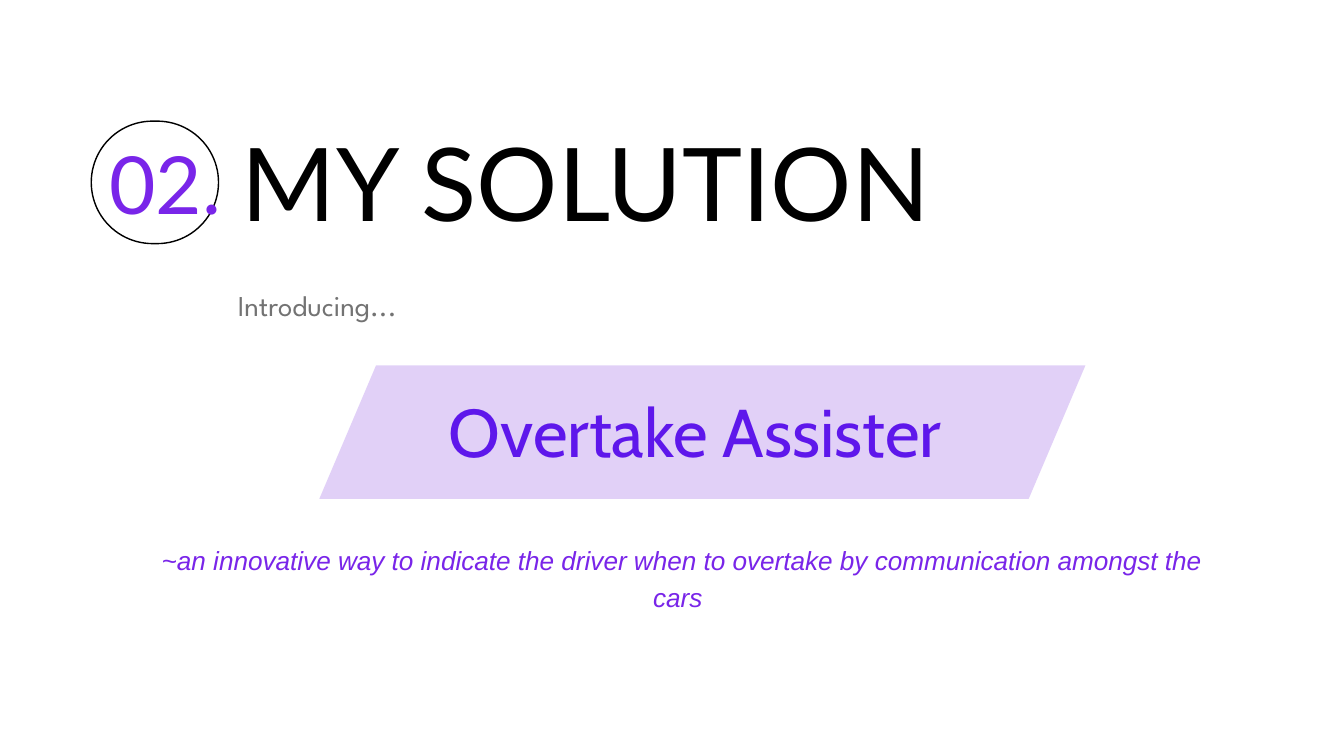
from dataclasses import dataclass

from lxml.etree import SubElement
from pptx import Presentation
from pptx.dml.color import RGBColor
from pptx.enum.shapes import MSO_SHAPE as Preset
from pptx.enum.text import MSO_AUTO_SIZE as AutoSize, PP_ALIGN as Align
from pptx.oxml.ns import qn
from pptx.shapes.autoshape import Shape
from pptx.slide import Slide
from pptx.util import Cm, Pt

BLACK = "000000"
VIOLET = "7925E9"
INDIGO = "5E17EB"
LILAC = "9F6AE7"
GRAY = "737373"


@dataclass(frozen=True)
class Box:
    left: float
    top: float
    width: float
    height: float

    def lengths(self) -> tuple[Cm, Cm, Cm, Cm]:
        return Cm(self.left), Cm(self.top), Cm(self.width), Cm(self.height)


@dataclass(frozen=True)
class Label:
    text: str
    box: Box
    font: str
    size: float
    line_height: float
    color: str
    align: Align = Align.CENTER
    italic: bool = False


LABELS = [
    Label("MY SOLUTION", Box(9.14, 4.55, 34.82, 4.62), "Lato", 108.9, 130.6, BLACK, Align.LEFT),
    Label("02.", Box(4.14, 5.08, 4.78, 3.63), "Lato", 85.8, 102.9, VIOLET, Align.LEFT),
    Label("Overtake Assister ", Box(10.95, 14.22, 31.22, 3.4), "Cabin", 72.3, 101.2, INDIGO),
    Label("Introducing...", Box(6.6, 10.67, 10.8, 1.47), "League Spartan", 30.8, 43.1, GRAY),
    Label(
        "~an innovative way to indicate the driver when to overtake by communication amongst the cars ",
        Box(5.84, 20.4, 39.83, 1.35), "Arial", 28, 39.2, VIOLET, italic=True,
    ),
]


def color(value: str) -> RGBColor:
    return RGBColor.from_string(value)


def add_preset(slide: Slide, preset: Preset, box: Box, adjustment: float) -> Shape:
    shape = slide.shapes.add_shape(preset, *box.lengths())
    shape.adjustments[0] = adjustment
    shape.shadow.inherit = False
    return shape


def add_number_ring(slide: Slide, box: Box) -> None:
    ring = add_preset(slide, Preset.ROUNDED_RECTANGLE, box, 0.5)
    ring.fill.background()
    ring.line.color.rgb = color(BLACK)
    ring.line.width = Pt(1.5)


def add_name_banner(slide: Slide, box: Box) -> None:
    banner = add_preset(slide, Preset.PARALLELOGRAM, box, 0.425)
    banner.fill.solid()
    banner.fill.fore_color.rgb = color(LILAC)
    fill_color = banner.fill._xPr.find(qn("a:solidFill"))[0]
    SubElement(fill_color, qn("a:alpha"), val="31000")
    banner.line.fill.background()


def add_label(slide: Slide, label: Label) -> None:
    text_frame = slide.shapes.add_textbox(*label.box.lengths()).text_frame
    text_frame.margin_left = text_frame.margin_right = 0
    text_frame.margin_top = text_frame.margin_bottom = 0
    text_frame.word_wrap = True
    text_frame.auto_size = AutoSize.SHAPE_TO_FIT_TEXT
    text_frame.text = label.text
    paragraph = text_frame.paragraphs[0]
    paragraph.alignment = label.align
    paragraph.line_spacing = Pt(label.line_height)
    font = paragraph.runs[0].font
    font.name = label.font
    font.size = Pt(label.size)
    font.italic = label.italic
    font.color.rgb = color(label.color)


def main() -> None:
    presentation = Presentation()
    presentation.slide_width = Cm(50.8)
    presentation.slide_height = Cm(28.58)
    slide = presentation.slides.add_slide(presentation.slide_layouts[6])
    add_number_ring(slide, Box(3.45, 4.58, 4.81, 4.63))
    add_name_banner(slide, Box(12.07, 13.81, 28.96, 5.05))
    for label in LABELS:
        add_label(slide, label)
    presentation.save("out.pptx")


if __name__ == "__main__":
    main()
